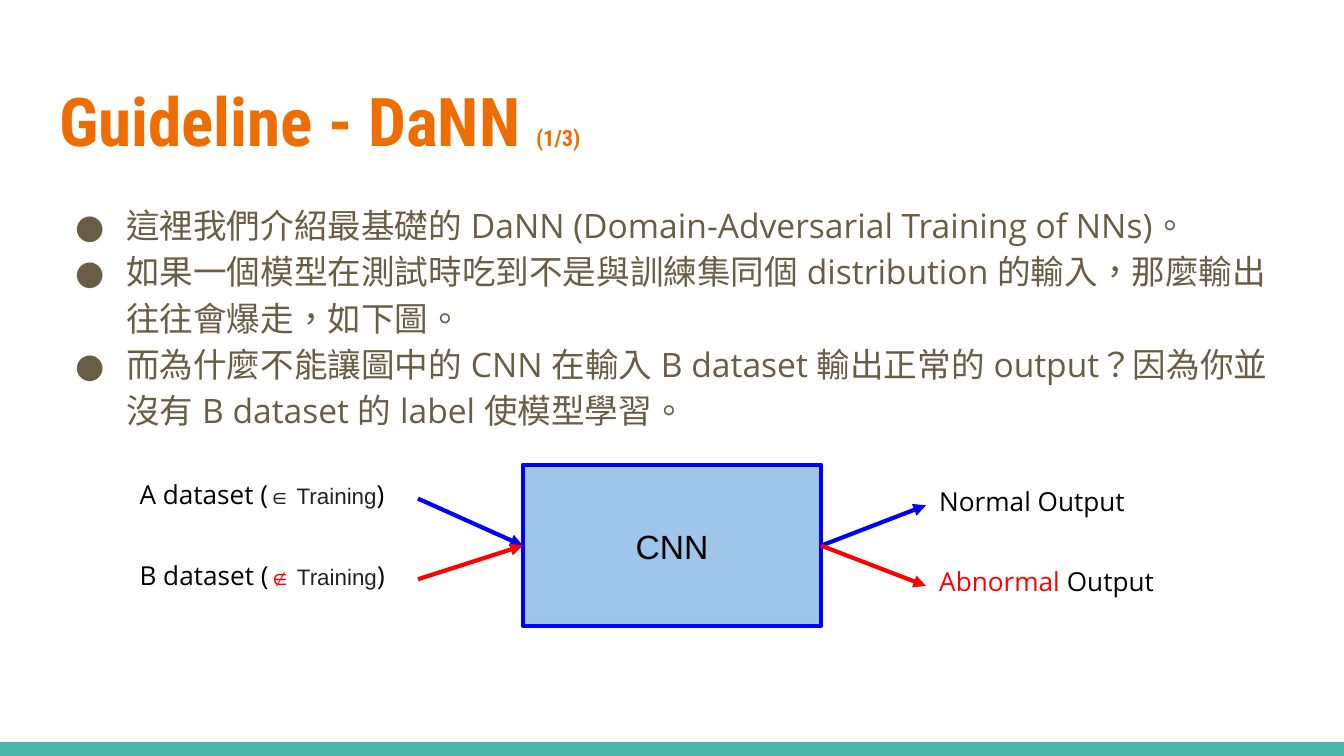
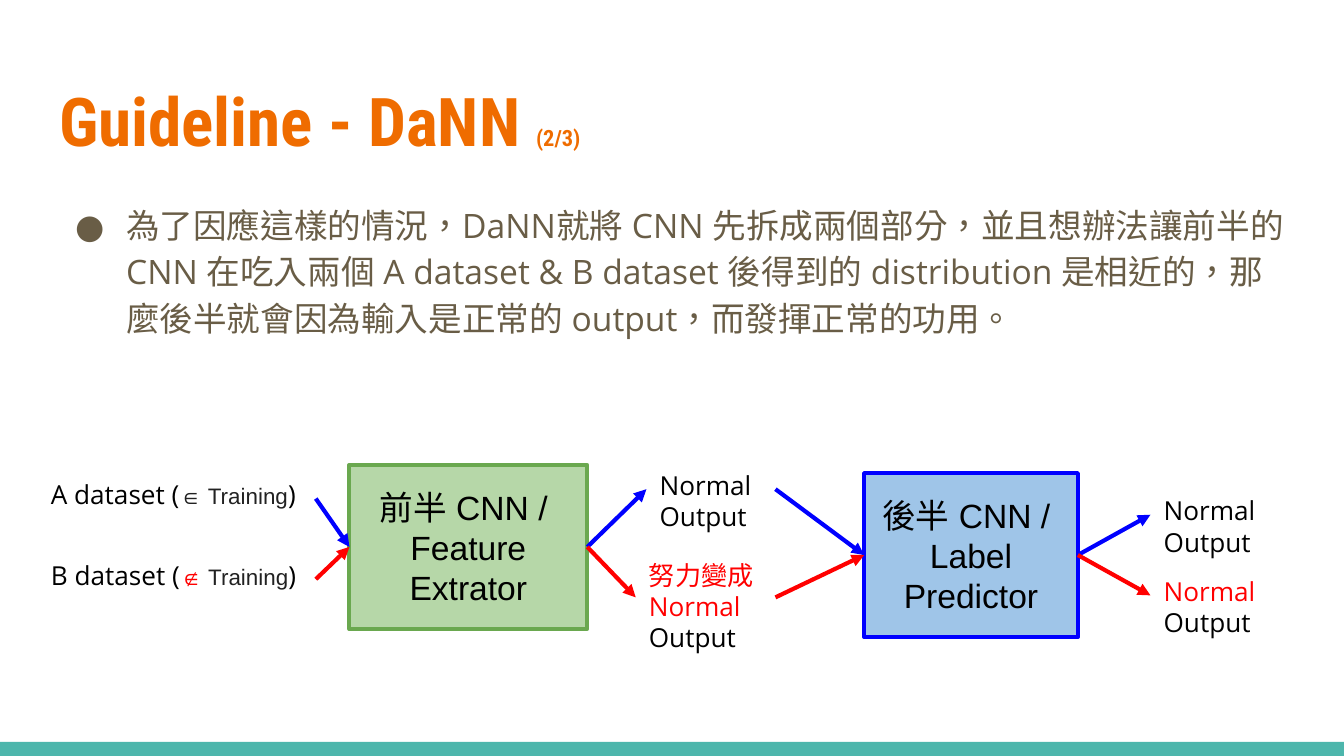
from pptx import Presentation
from pptx.dml.color import RGBColor
from pptx.enum.shapes import MSO_CONNECTOR, MSO_SHAPE
from pptx.enum.text import MSO_ANCHOR, MSO_AUTO_SIZE, PP_ALIGN
from pptx.oxml.ns import qn
from pptx.util import Inches, Pt
from lxml.etree import SubElement

# Theme: colours, line width and text styles (font, size, colour, bold)
THEME = {
    "band": "4DB6AC",
    "bullet": ("Open Sans", "695D46"),
    "blue": "0000FF",
    "red": "FF0000",
    "line": 2.25,
    "language": "zh-TW",
    "boxes": {"blue": ("9FC5E8", "0000FF"), "green": ("B6D7A8", "6AA84F")},
    "text": {
        "title": ("Roboto Condensed", 36, "EF6C00", True),
        "part": ("Roboto Condensed", 12, "EF6C00", True),
        "body": ("Open Sans", 18, "695D46", False),
        "box": ("Arial", 18, "000000", False),
        "label": ("Open Sans", 14, "000000", False),
        "alert": ("Open Sans", 14, "FF0000", False),
        "set": ("Arial", 12, "222222", False),
        "alert_set": ("Arial", 12, "FF0000", False),
    },
}

# Content: every paragraph is a list of (text, style) runs
A_DATASET = [("A dataset (", "label"), ("∈ Training", "set"), (")", "label")]
B_DATASET = [("B dataset (", "label"), ("∉", "alert_set"), (" Training", "set"),
             (")", "label")]
NORMAL = [("Normal Output", "label")]


def alert_output(words):
    return [(words, "alert"), ("Output", "label")]


# labels: name -> (left, top, width, height, runs)
# boxes: name -> (left, top, width, height, look, lines)
# arrows: (from, to, colour)
SLIDES = [
    {
        "part": "(1/3)",
        "bullets": [
            "這裡我們介紹最基礎的 DaNN (Domain-Adversarial Training of NNs)。",
            "如果一個模型在測試時吃到不是與訓練集同個 distribution 的輸入，那麼輸出往往會爆走，如下圖。",
            "而為什麼不能讓圖中的 CNN 在輸入 B dataset 輸出正常的 output？"
            "因為你並沒有 B dataset 的 label 使模型學習。",
        ],
        "boxes": {"cnn": (3.89, 3.46, 2.22, 1.2, "blue", ["CNN"])},
        "labels": {
            "a": (0.94, 3.46, 2.17, 0.5, A_DATASET),
            "b": (0.94, 4.06, 2.17, 0.5, B_DATASET),
            "normal": (6.89, 3.51, 2.17, 0.5, NORMAL),
            "abnormal": (6.89, 4.11, 2.17, 0.5, alert_output("Abnormal ")),
        },
        "arrows": [("a", "cnn", "blue"), ("b", "cnn", "red"),
                   ("cnn", "normal", "blue"), ("cnn", "abnormal", "red")],
    },
    {
        "part": "(2/3)",
        "bullets": [
            "為了因應這樣的情況，DaNN就將 CNN 先拆成兩個部分，並且想辦法讓前半的 CNN "
            "在吃入兩個 A dataset & B dataset 後得到的 distribution 是相近的，"
            "那麼後半就會因為輸入是正常的 output，而發揮正常的功用。",
        ],
        "boxes": {
            "extractor": (2.6, 3.46, 1.77, 1.22, "green",
                          ["前半 CNN / ", "Feature Extrator"]),
            "predictor": (6.43, 3.52, 1.59, 1.22, "blue",
                          ["後半 CNN / ", "Label Predictor"]),
        },
        "labels": {
            "a": (0.28, 3.46, 2.07, 0.5, A_DATASET),
            "b": (0.28, 4.06, 2.07, 0.5, B_DATASET),
            "feature_a": (4.81, 3.39, 0.96, 0.5, NORMAL),
            "feature_b": (4.73, 4.06, 1.04, 0.77, alert_output("努力變成 Normal ")),
            "output_a": (8.56, 3.58, 1.29, 0.5, NORMAL),
            "output_b": (8.56, 4.18, 1.44, 0.5, alert_output("Normal ")),
        },
        "arrows": [("a", "extractor", "blue"), ("b", "extractor", "red"),
                   ("extractor", "feature_a", "blue"),
                   ("extractor", "feature_b", "red"),
                   ("feature_a", "predictor", "blue"),
                   ("feature_b", "predictor", "red"),
                   ("predictor", "output_a", "blue"),
                   ("predictor", "output_b", "red")],
    },
]

FRAME = {"word_wrap": True, "auto_size": MSO_AUTO_SIZE.NONE,
         "vertical_anchor": MSO_ANCHOR.TOP,
         **{f"margin_{side}": Inches(0.1)
            for side in ("left", "top", "right", "bottom")}}
RIGHT_SIDE, LEFT_SIDE = 3, 1


def rgb(value):
    return RGBColor.from_string(value)


# Text
def write(sp, paragraphs, align=PP_ALIGN.LEFT, **frame):
    tf = sp.text_frame
    for name, value in {**FRAME, **frame}.items():
        setattr(tf, name, value)
    for i, runs in enumerate(paragraphs):
        p = tf.paragraphs[0] if i == 0 else tf.add_paragraph()
        p.alignment = align
        for text, style in runs:
            font, size, colour, bold = THEME["text"][style]
            r = p.add_run()
            r.text = text
            for name, value in {"name": font, "size": Pt(size), "bold": bold}.items():
                setattr(r.font, name, value)
            r.font.color.rgb = rgb(colour)
            rPr = r.font._element
            rPr.set("lang", THEME["language"])
            SubElement(rPr, qn("a:ea")).set("typeface", font)
    return sp


def add_text(s, at, paragraphs):
    return write(s.shapes.add_textbox(*map(Inches, at)), paragraphs)


def add_title(s, part):
    title = s.shapes.title
    for name, value in zip(("left", "top", "width", "height"), (0.34, 0.49, 9.32, 0.77)):
        setattr(title, name, Inches(value))
    write(title, [[("Guideline - DaNN ", "title"), (part, "part")]])


def add_bullets(s, bullets):
    sp = add_text(s, (0.34, 1.38, 9.32, 3.61), [[(text, "body")] for text in bullets])
    font, colour = THEME["bullet"]
    for p in sp.text_frame.paragraphs:
        p.line_spacing = 1.15
        pPr = p._p.get_or_add_pPr()
        pPr.set("marL", str(Inches(0.5)))
        pPr.set("indent", str(Inches(-0.38)))
        SubElement(SubElement(pPr, qn("a:buClr")), qn("a:srgbClr")).set("val", colour)
        SubElement(pPr, qn("a:buFont")).set("typeface", font)
        SubElement(pPr, qn("a:buChar")).set("char", "●")


# Shapes
def add_rect(s, at, fill, line=None):
    sp = s.shapes.add_shape(MSO_SHAPE.RECTANGLE, *map(Inches, at))
    sp.shadow.inherit = False
    sp.fill.solid()
    sp.fill.fore_color.rgb = rgb(fill)
    if line:
        sp.line.color.rgb = rgb(line)
        sp.line.width = Pt(THEME["line"])
    else:
        sp.line.fill.background()
    return sp


def add_box(s, at, look, lines):
    return write(add_rect(s, at, *THEME["boxes"][look]),
                 [[(text, "box")] for text in lines],
                 align=PP_ALIGN.CENTER, vertical_anchor=MSO_ANCHOR.MIDDLE)


def add_arrow(s, start, end, colour):
    arrow = s.shapes.add_connector(MSO_CONNECTOR.STRAIGHT, 0, 0, 0, 0)
    arrow.begin_connect(start, RIGHT_SIDE)
    arrow.end_connect(end, LEFT_SIDE)
    arrow.line.color.rgb = rgb(THEME[colour])
    arrow.line.width = Pt(THEME["line"])
    SubElement(arrow.line._get_or_add_ln(), qn("a:tailEnd")).set("type", "triangle")
    SubElement(arrow._element.spPr, qn("a:effectLst"))


# Slides
def build_slide(prs, content):
    s = prs.slides.add_slide(prs.slide_layouts[5])
    add_rect(s, (0, 5.52, 10, 0.11), THEME["band"])
    add_title(s, content["part"])
    add_bullets(s, content["bullets"])
    nodes = {}
    for name, (*at, look, lines) in content["boxes"].items():
        nodes[name] = add_box(s, at, look, lines)
    for name, (*at, runs) in content["labels"].items():
        nodes[name] = add_text(s, at, [runs])
    for start, end, colour in content["arrows"]:
        add_arrow(s, nodes[start], nodes[end], colour)


def main():
    prs = Presentation()
    # 16:9 page
    prs.slide_width, prs.slide_height = Inches(10), Inches(10 * 9 / 16)
    for content in SLIDES:
        build_slide(prs, content)
    prs.save("out.pptx")


if __name__ == "__main__":
    main()
